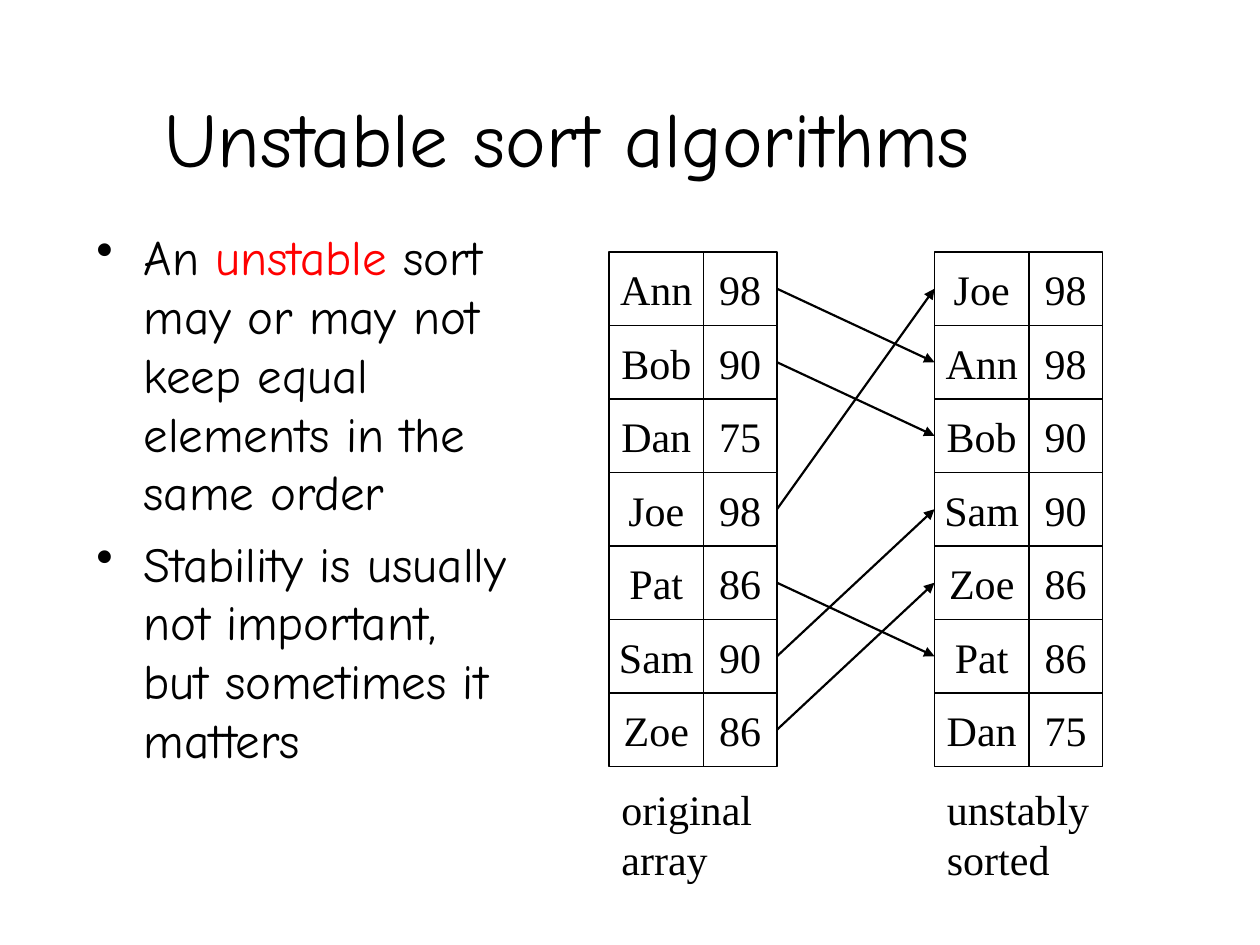
from dataclasses import dataclass

from lxml.etree import SubElement
from pptx import Presentation
from pptx.dml.color import RGBColor
from pptx.enum.shapes import MSO_CONNECTOR, MSO_SHAPE
from pptx.enum.text import MSO_ANCHOR, PP_ALIGN
from pptx.oxml.ns import qn
from pptx.shapes.autoshape import Shape
from pptx.slide import Slide
from pptx.text.text import _Paragraph as Paragraph
from pptx.util import Pt

EMU_PER_PX = 7620  # 120 px to the inch
COLORS = {"ink": "000000", "accent": "FF0000"}
HAND_FONT = "Comic Neue"
ARRAY_FONT = "Times New Roman"

TOP, ROW_HEIGHT = 240, 70
NAME_WIDTH, SCORE_WIDTH = 90, 70
CAPTION_TOP, CAPTION_HEIGHT = 740, 108
BULLET_INDENT = 45


@dataclass(frozen=True)
class Span:
    text: str
    color: str = "ink"


@dataclass(frozen=True)
class ScoreArray:
    left: int
    caption: str
    names: tuple[str, ...]


SCORES = {"Ann": 98, "Bob": 90, "Dan": 75, "Joe": 98, "Pat": 86, "Sam": 90, "Zoe": 86}
ORIGINAL = ScoreArray(580, "original array", tuple(SCORES))
SORTED = ScoreArray(
    890, "unstably sorted", ("Joe", "Ann", "Bob", "Sam", "Zoe", "Pat", "Dan")
)
TRACED_NAMES = ("Ann", "Joe", "Bob", "Sam", "Zoe", "Pat")
BULLETS = (
    (
        Span("An "),
        Span("unstable", "accent"),
        Span(" sort may or may not keep equal elements in the same order"),
    ),
    (Span("Stability is usually not important, but sometimes it matters"),),
)


def px(length: int) -> int:
    return length * EMU_PER_PX


def rgb(name: str) -> RGBColor:
    return RGBColor.from_string(COLORS[name])


def add_span(para: Paragraph, span: Span, size: int, font: str) -> None:
    run = para.add_run()
    run.text = span.text
    run.font.size = Pt(size)
    run.font.name = font
    run.font.color.rgb = rgb(span.color)


def add_text_box(page: Slide, left: int, top: int, width: int, height: int) -> Shape:
    box = page.shapes.add_textbox(px(left), px(top), px(width), px(height))
    box.text_frame.word_wrap = True
    return box


def add_title(page: Slide, text: str) -> None:
    frame = add_text_box(page, 90, 20, 901, 160).text_frame
    frame.vertical_anchor = MSO_ANCHOR.BOTTOM
    para = frame.paragraphs[0]
    para.alignment = PP_ALIGN.CENTER
    add_span(para, Span(text), 44, HAND_FONT)


def add_bullets(page: Slide) -> None:
    frame = add_text_box(page, 80, 210, 420, 600).text_frame
    for index, spans in enumerate(BULLETS):
        para = frame.add_paragraph() if index else frame.paragraphs[0]
        if index:
            para.space_before = Pt(7)
        properties = para._p.get_or_add_pPr()
        properties.set("marL", str(px(BULLET_INDENT)))
        properties.set("indent", str(-px(BULLET_INDENT)))
        SubElement(properties, qn("a:buChar"), char="•")
        for span in spans:
            add_span(para, span, 28, HAND_FONT)


def add_cell(page: Slide, left: int, top: int, width: int, text: str) -> Shape:
    cell = page.shapes.add_shape(
        MSO_SHAPE.RECTANGLE, px(left), px(top), px(width), px(ROW_HEIGHT)
    )
    cell.shadow.inherit = False
    cell.fill.background()
    cell.line.color.rgb = rgb("ink")
    cell.line.width = Pt(1)
    frame = cell.text_frame
    frame.word_wrap = False
    frame.vertical_anchor = MSO_ANCHOR.MIDDLE
    para = frame.paragraphs[0]
    para.alignment = PP_ALIGN.CENTER
    add_span(para, Span(text), 24, ARRAY_FONT)
    return cell


def add_score_array(page: Slide, array: ScoreArray) -> dict[str, tuple[Shape, Shape]]:
    """Draw the rows and caption; return each name's pair of cells."""
    rows = {}
    for index, name in enumerate(array.names):
        top = TOP + index * ROW_HEIGHT
        rows[name] = (
            add_cell(page, array.left, top, NAME_WIDTH, name),
            add_cell(page, array.left + NAME_WIDTH, top, SCORE_WIDTH, str(SCORES[name])),
        )
    caption = add_text_box(
        page, array.left, CAPTION_TOP, NAME_WIDTH + SCORE_WIDTH, CAPTION_HEIGHT
    )
    add_span(caption.text_frame.paragraphs[0], Span(array.caption), 24, ARRAY_FONT)
    return rows


def add_arrow(page: Slide, source: Shape, target: Shape) -> None:
    arrow = page.shapes.add_connector(MSO_CONNECTOR.STRAIGHT, 0, 0, 0, 0)
    arrow.begin_connect(source, 3)
    arrow.end_connect(target, 1)
    arrow.line.color.rgb = rgb("ink")
    arrow.line.width = Pt(1.25)
    SubElement(arrow.line._get_or_add_ln(), qn("a:tailEnd"), type="triangle")
    SubElement(arrow._element.spPr, qn("a:effectLst"))


def main() -> None:
    deck = Presentation()
    deck.slide_width, deck.slide_height = px(1200), px(900)
    page = deck.slides.add_slide(deck.slide_layouts[6])
    add_title(page, "Unstable sort algorithms")
    add_bullets(page)
    original_rows = add_score_array(page, ORIGINAL)
    sorted_rows = add_score_array(page, SORTED)
    for name in TRACED_NAMES:
        add_arrow(page, original_rows[name][1], sorted_rows[name][0])
    deck.save("out.pptx")


if __name__ == "__main__":
    main()
